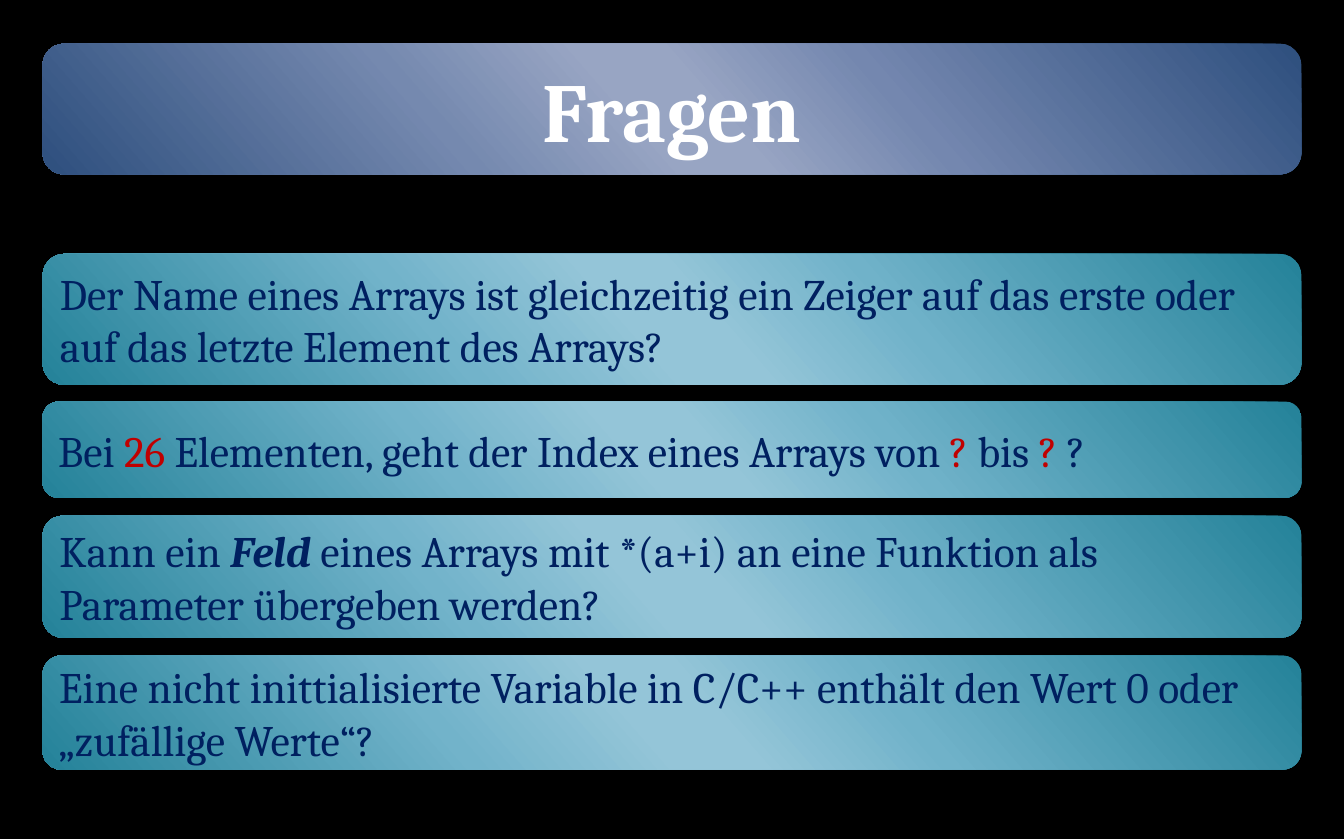
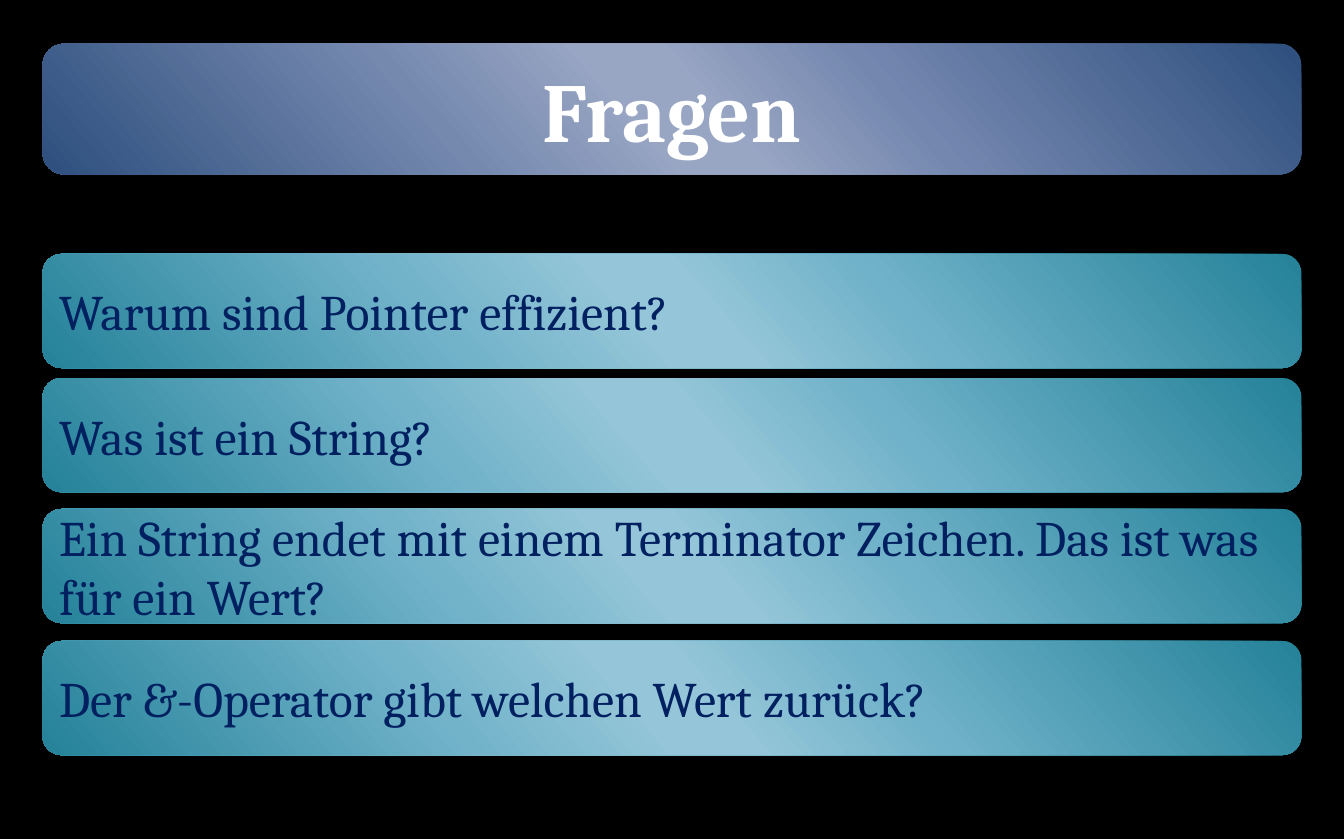
from lxml import etree
from pptx import Presentation
from pptx.dml.color import RGBColor
from pptx.enum import shapes, text
from pptx.oxml import ns
from pptx.util import Inches, Pt

BLACK = RGBColor(0x00, 0x00, 0x00)
WHITE = RGBColor(0xFF, 0xFF, 0xFF)
NAVY = RGBColor(0x00, 0x20, 0x60)
RED = RGBColor(0xC0, 0x00, 0x00)


def gradient(*colours):
    """Pair the colours with the shared gradient positions in percent."""
    return list(zip((0, 33, 47, 53, 68, 100), (RGBColor.from_string(c) for c in colours)))


BLUE_GRADIENT = gradient("2E4F7E", "7487AF", "98A5C3", "98A5C3", "7589AF", "2E4F7E")
TEAL_GRADIENT = gradient("248299", "70B2C9", "94C5D8", "94C5D8", "72B3CA", "248299")
GRADIENT_ANGLE = 221
FONT = "Cambria"
LEFT, WIDTH = 0.38, 11.25
TITLE_BOX = (LEFT, 0.39, WIDTH, 1.17)


def add_run(p, words, size, colour, bold=False, italic=False):
    """Append one formatted run to a paragraph."""
    r = p.add_run()
    r.text = words
    r.font.name, r.font.size = FONT, Pt(size)
    r.font.color.rgb = colour
    r.font.bold, r.font.italic = bold, italic


def add_panel(s, box, stops):
    """Add a rounded panel with a diagonal gradient."""
    sp = s.shapes.add_shape(shapes.MSO_SHAPE.ROUNDED_RECTANGLE, *map(Inches, box))
    sp.shadow.inherit = False
    sp.line.fill.background()
    sp.fill.gradient()
    sp.fill.gradient_angle = GRADIENT_ANGLE
    gs_list = sp._element.spPr.find(".//" + ns.qn("a:gsLst"))
    for gs in list(gs_list):
        gs_list.remove(gs)
    for position, colour in stops:
        gs = etree.SubElement(gs_list, ns.qn("a:gs"), pos=str(position * 1000))
        etree.SubElement(gs, ns.qn("a:srgbClr"), val=str(colour))
    return sp


def add_title(s, box, words):
    """Place the title on its blue band."""
    band = add_panel(s, box, BLUE_GRADIENT)
    title = s.shapes.title
    title.left, title.top, title.width, title.height = map(Inches, box)
    band._element.addnext(title._element)
    tf = title.text_frame
    tf.auto_size = text.MSO_AUTO_SIZE.NONE
    tf.vertical_anchor = text.MSO_ANCHOR.MIDDLE
    p = tf.paragraphs[0]
    p.alignment = text.PP_ALIGN.CENTER
    add_run(p, words, 54, WHITE, bold=True)


def add_question(s, box, size, runs):
    """Add a teal panel holding one question."""
    tf = add_panel(s, box, TEAL_GRADIENT).text_frame
    tf.word_wrap = True
    tf.vertical_anchor = text.MSO_ANCHOR.MIDDLE
    p = tf.paragraphs[0]
    p.alignment = text.PP_ALIGN.LEFT
    for words, style in runs:
        add_run(p, words, size, **{"colour": NAVY, **style})


def add_question_slide(prs, size, questions):
    """Add a titled slide with a column of questions."""
    s = prs.slides.add_slide(prs.slide_layouts[5])
    add_title(s, TITLE_BOX, "Fragen")
    for top, height, runs in questions:
        add_question(s, (LEFT, top, WIDTH, height), size, runs)


PLAIN = {}
MARK = {"colour": RED}
STRONG = {"bold": True, "italic": True}

ARRAY_QUESTIONS = [
    (2.27, 1.17, [("Der Name eines Arrays ist gleichzeitig ein Zeiger auf das erste oder "
                   "auf das letzte Element des Arrays?", PLAIN)]),
    (3.59, 0.86, [("Bei ", PLAIN), ("26", MARK),
                  (" Elementen, geht der Index eines Arrays von ", PLAIN),
                  ("?", MARK), (" bis ", PLAIN), ("?", MARK), (" ?", PLAIN)]),
    (4.61, 1.09, [("Kann ein ", PLAIN), ("Feld", STRONG),
                  (" eines Arrays mit *(a+i) an eine Funktion als "
                   "Parameter übergeben werden?", PLAIN)]),
    (5.86, 1.02, [("Eine nicht inittialisierte Variable in C/C++ enthält den Wert 0 oder "
                   "„zufällige Werte“?", PLAIN)]),
]
POINTER_QUESTIONS = [
    (2.27, 1.02, [("Warum sind Pointer effizient?", PLAIN)]),
    (3.38, 1.02, [("Was ist ein String?", PLAIN)]),
    (4.55, 1.02, [("Ein String endet mit einem Terminator Zeichen. "
                   "Das ist was für ein Wert?", PLAIN)]),
    (5.73, 1.02, [("Der &-Operator gibt welchen Wert zurück?", PLAIN)]),
]


def main():
    """Build and save the presentation."""
    prs = Presentation()
    prs.slide_width, prs.slide_height = Inches(12.01), Inches(7.5)
    background = prs.slide_master.background.fill
    background.solid()
    background.fore_color.rgb = BLACK
    add_question_slide(prs, 28, ARRAY_QUESTIONS)
    add_question_slide(prs, 32, POINTER_QUESTIONS)
    prs.save("out.pptx")


if __name__ == "__main__":
    main()
